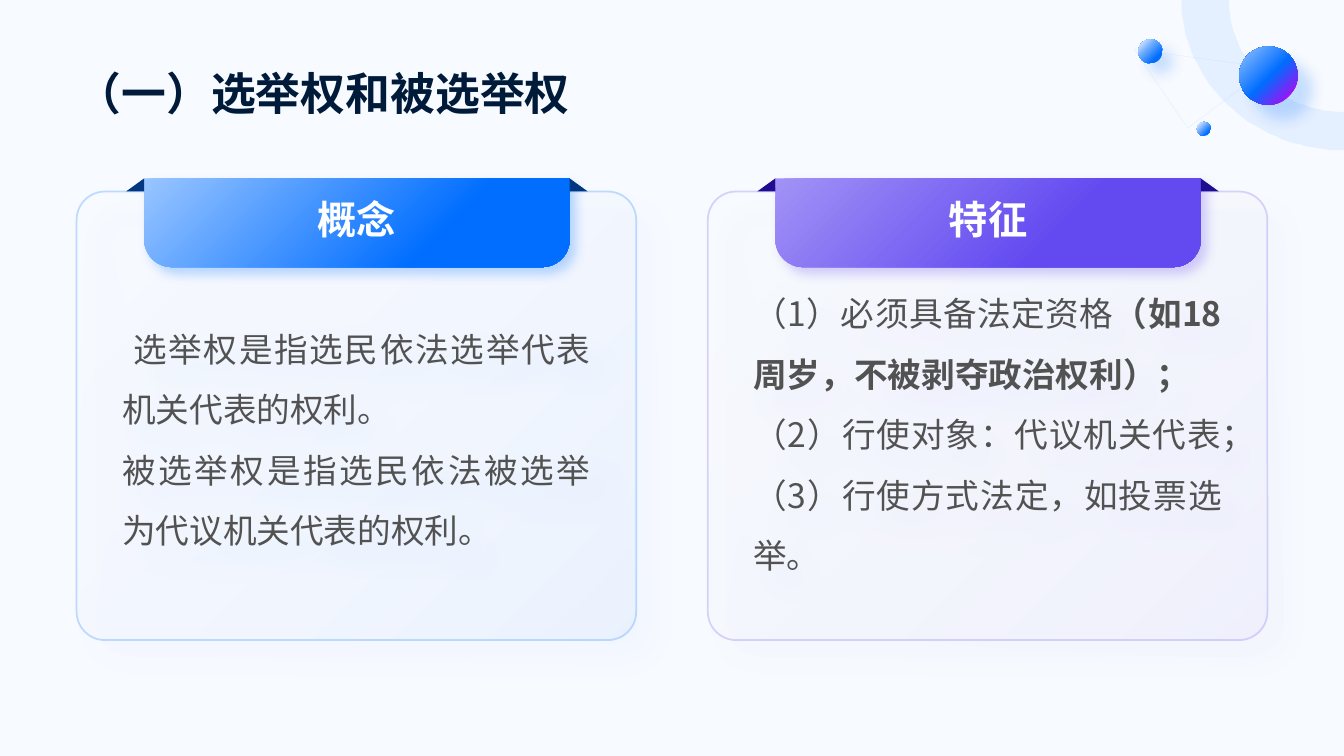
from dataclasses import dataclass
from math import cos, pi, sin
from typing import NamedTuple

from pptx import Presentation
from pptx.dml.color import RGBColor
from pptx.enum.shapes import MSO_SHAPE
from pptx.enum.text import MSO_ANCHOR, PP_ALIGN
from pptx.oxml import parse_xml
from pptx.oxml.ns import nsdecls, qn
from pptx.util import Pt

PX = 9144
FONT = "Noto Sans CJK SC"
TOP_LEFT = '<a:path path="circle"><a:fillToRect r="100000" b="100000"/></a:path>'
BOTTOM_RIGHT = '<a:path path="circle"><a:fillToRect l="100000" t="100000"/></a:path>'
DIAGONAL = '<a:lin ang="2700000" scaled="0"/>'


class Stop(NamedTuple):
    at: int
    color: str
    alpha: int = 100


class Shadow(NamedTuple):
    color: str
    alpha: int
    blur: int
    distance: int


class Span(NamedTuple):
    text: str
    bold: bool = False


@dataclass
class Ball:
    left: int
    top: int
    size: int
    stops: list[Stop]
    shadow: Shadow | None = None


@dataclass
class Card:
    left: int
    heading: str
    paragraphs: list[list[Span]]
    tint: str
    border: str
    light: str
    main: str
    fold: str
    full_at: int
    inset_top: int


BALLS = [
    Ball(1229, 46, 58, [Stop(0, "99C5FF"), Stop(52, "016EFF"), Stop(85, "9618F4")],
         Shadow("016EFF", 20, 10, 15)),
    Ball(1129, 39, 24, [Stop(12, "CCE2FF"), Stop(40, "67A8FF"), Stop(75, "016EFF")],
         Shadow("016EFF", 20, 10, 10)),
    Ball(1187, 121, 14, [Stop(13, "CCE2FF"), Stop(75, "016EFF")]),
]
CARDS = [
    Card(76, "概念",
         [[Span(" 选举权是指选民依法选举代表机关代表的权利。")],
          [Span("被选举权是指选民依法被选举为代议机关代表的权利。")]],
         "CCE2FF", "99C5FF", "99C5FF", "016EFF", "003780", 69, 80),
    Card(702, "特征",
         [[Span("（1）必须具备法定资格"), Span("（如18周岁，不被剥夺政治权利）；", True)],
          [Span("（2）行使对象：代议机关代表；")],
          [Span("（3）行使方式法定，如投票选举。")]],
         "E0DBFC", "C0B7F9", "A192F6", "624AF0", "1F0C91", 66, 70),
]


def rgb(color: str) -> RGBColor:
    """Turn a hex string into a colour."""
    return RGBColor.from_string(color)


def color_xml(color: str, alpha: int) -> str:
    """Describe a colour with its opacity in percent."""
    return f'<a:srgbClr val="{color}"><a:alpha val="{alpha * 1000}"/></a:srgbClr>'


def paint(shape, stops: list[Stop], direction: str = "") -> None:
    """Fill a shape with one colour, or with a gradient along a direction."""
    shape.fill.background()
    if direction:
        steps = "".join(f'<a:gs pos="{stop.at * 1000}">{color_xml(stop.color, stop.alpha)}</a:gs>'
                        for stop in stops)
        body = f'<a:gradFill {nsdecls("a")}><a:gsLst>{steps}</a:gsLst>{direction}</a:gradFill>'
    else:
        body = f'<a:solidFill {nsdecls("a")}>{color_xml(stops[0].color, stops[0].alpha)}</a:solidFill>'
    properties = shape.element.spPr
    properties.replace(properties.find(qn("a:noFill")), parse_xml(body))


def finish(shape, shadow: Shadow | None = None) -> None:
    """Drop the outline and set the shadow of a new shape."""
    shape.line.fill.background()
    shape.shadow.inherit = False
    if shadow:
        shape.element.spPr.find(qn("a:effectLst")).append(parse_xml(
            f'<a:outerShdw {nsdecls("a")} blurRad="{Pt(shadow.blur)}" dist="{Pt(shadow.distance)}" '
            f'dir="2700000" algn="tl" rotWithShape="0">{color_xml(shadow.color, shadow.alpha)}</a:outerShdw>'))


def outline(shape, color: str, width: float, alpha: int) -> None:
    """Give a shape a partly transparent outline."""
    shape.line.width = Pt(width)
    shape.line.color.rgb = rgb(color)
    target = shape.element.spPr.find(qn("a:ln")).find(qn("a:solidFill"))
    target[0].append(parse_xml(f'<a:alpha {nsdecls("a")} val="{alpha * 1000}"/>'))


def add_box(slide, kind, left: int, top: int, width: int, height: int, shadow: Shadow | None = None):
    """Add a preset shape measured in px."""
    shape = slide.shapes.add_shape(kind, left * PX, top * PX, width * PX, height * PX)
    finish(shape, shadow)
    return shape


def add_outline_path(slide, points: list[tuple[float, float]]):
    """Add a closed outline through points in px."""
    builder = slide.shapes.build_freeform(*points[0], scale=PX)
    builder.add_line_segments(points[1:], close=True)
    shape = builder.convert_to_shape()
    finish(shape)
    return shape


def style(span, size: int, color: str, bold: bool, name: str = FONT) -> None:
    """Set the font of a run."""
    span.font.size = Pt(size)
    span.font.bold = bold
    span.font.color.rgb = rgb(color)
    span.font.name = name
    span.font.element.append(parse_xml(f'<a:ea {nsdecls("a")} typeface="{FONT}"/>')) \
        if hasattr(span.font, "element") else \
        span._r.get_or_add_rPr().append(parse_xml(f'<a:ea {nsdecls("a")} typeface="{FONT}"/>'))


def set_frame(shape, anchor, insets: tuple[int, int, int, int] = (10, 5, 10, 5)):
    """Wrap the text of a shape, set its anchor and insets, and return its frame."""
    frame = shape.text_frame
    frame.word_wrap = True
    frame.vertical_anchor = anchor
    frame.margin_left, frame.margin_top, frame.margin_right, frame.margin_bottom = (
        inset * PX for inset in insets)
    return frame


def quarter_arc(radius_x: int, radius_y: int) -> list[tuple[float, float]]:
    """List points of an arc around the top right corner of the slide."""
    angles = [step * pi / 80 for step in range(41)]
    return [(1333 - radius_x * cos(angle), radius_y * sin(angle)) for angle in angles]


def draw_decoration(slide) -> None:
    """Draw the ring, the thin triangle and the balls."""
    network = add_outline_path(slide, [(1125, 49), (1258, 67), (1178, 127)])
    network.fill.background()
    outline(network, "CCE2FF", 0.25, 50)
    ring = add_outline_path(slide, quarter_arc(161, 149) + quarter_arc(114, 111)[::-1])
    paint(ring, [Stop(0, "99C5FF", 20)])
    for ball in BALLS:
        paint(add_box(slide, MSO_SHAPE.OVAL, ball.left, ball.top, ball.size, ball.size, ball.shadow),
              ball.stops, TOP_LEFT)


def add_panel(slide, card: Card, stops: list[Stop], direction: str = ""):
    """Add one rounded layer of a card."""
    panel = add_box(slide, MSO_SHAPE.ROUNDED_RECTANGLE, card.left, 190, 555, 445,
                    Shadow(card.main, 8, 22, 18))
    panel.adjustments[0] = 0.063
    paint(panel, stops, direction)
    return panel


def draw_card(slide, card: Card) -> None:
    """Draw a card with its text, banner and folds."""
    panel = add_panel(slide, card, [Stop(0, card.tint, 20), Stop(100, "FFFFFF", 0)], BOTTOM_RIGHT)
    outline(panel, card.border, 1.25, 60)
    frame = set_frame(panel, MSO_ANCHOR.MIDDLE, (37, card.inset_top, 37, 53))
    for index, spans in enumerate(card.paragraphs):
        para = frame.add_paragraph() if index else frame.paragraphs[0]
        para.alignment = PP_ALIGN.JUSTIFY
        para.line_spacing = 1.5
        for part in spans:
            span = para.add_run()
            span.text = part.text
            style(span, 24, "525252", part.bold)

    banner = add_box(slide, MSO_SHAPE.ROUND_2_SAME_RECTANGLE, card.left + 67, 177, 422, 88,
                     Shadow(card.main, 25, 8, 6))
    banner.adjustments[0], banner.adjustments[1] = 0, 0.314
    paint(banner, [Stop(0, card.light), Stop(card.full_at, card.main), Stop(100, card.main)], DIAGONAL)
    frame = set_frame(banner, MSO_ANCHOR.MIDDLE)
    frame.text = card.heading
    frame.paragraphs[0].alignment = PP_ALIGN.CENTER
    style(frame.paragraphs[0].runs[0], 28, "FFFFFF", True)

    for offset, flipped in ((49, False), (489, True)):
        fold = add_box(slide, MSO_SHAPE.ISOSCELES_TRIANGLE, card.left + offset, 177, 18, 13)
        fold.adjustments[0] = 1
        paint(fold, [Stop(0, card.fold)])
        if flipped:
            fold.element.spPr.xfrm.set("flipH", "1")


def main() -> None:
    """Build the slide and save the deck."""
    deck = Presentation()
    deck.slide_width, deck.slide_height = 1333 * PX, 750 * PX
    slide = deck.slides.add_slide(deck.slide_layouts[6])
    slide.background.fill.solid()
    slide.background.fill.fore_color.rgb = rgb("F7FAFF")
    draw_decoration(slide)
    title = slide.shapes.add_textbox(76 * PX, 39 * PX, 1181 * PX, 79 * PX)
    frame = set_frame(title, MSO_ANCHOR.BOTTOM, (0, 0, 0, 0))
    frame.text = "（一）选举权和被选举权"
    style(frame.paragraphs[0].runs[0], 32, "001A3A", True, "Arial")
    for card in CARDS:
        add_panel(slide, card, [Stop(0, "FFFFFF", 5)])
    for card in CARDS:
        draw_card(slide, card)
    deck.save("out.pptx")


if __name__ == "__main__":
    main()
